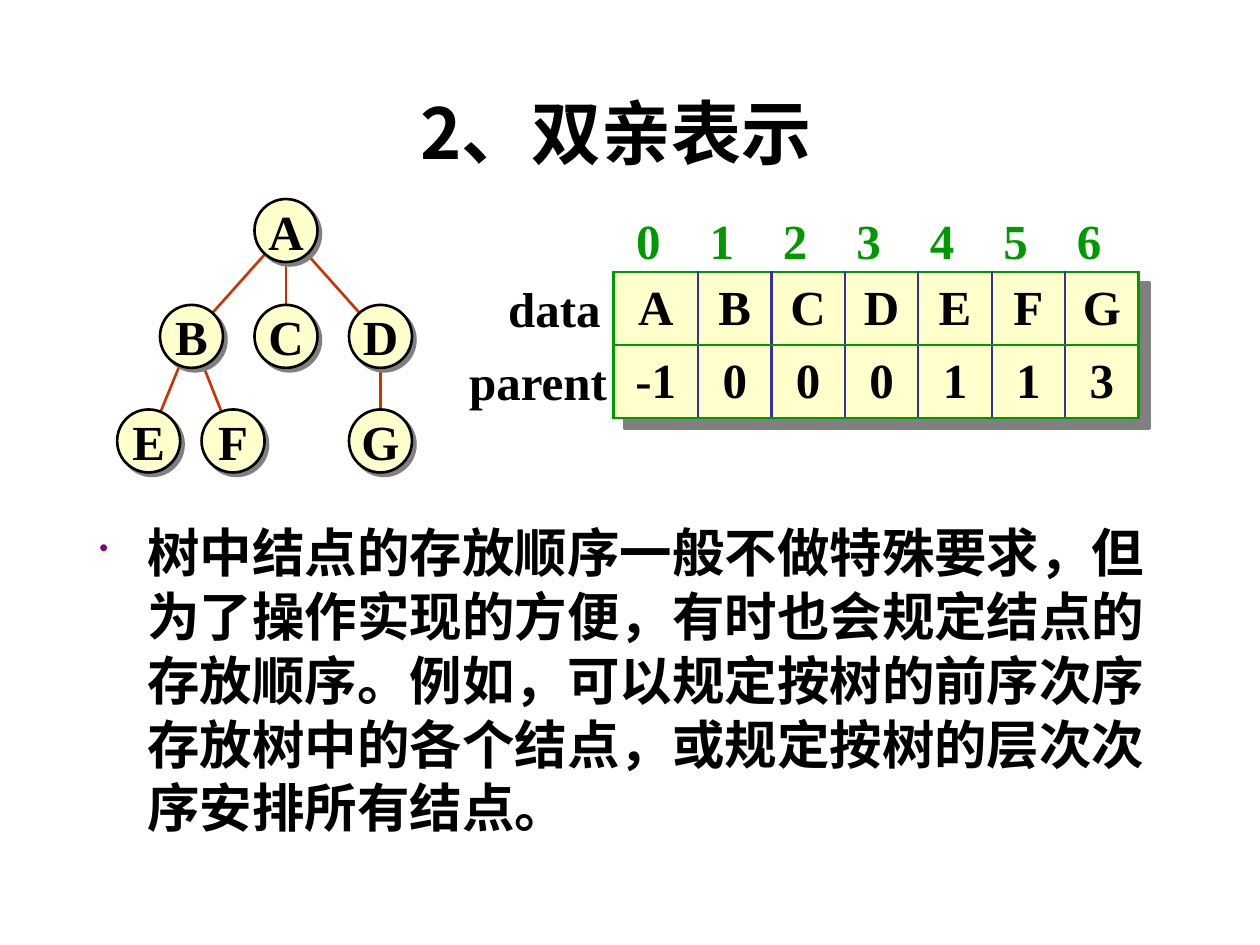
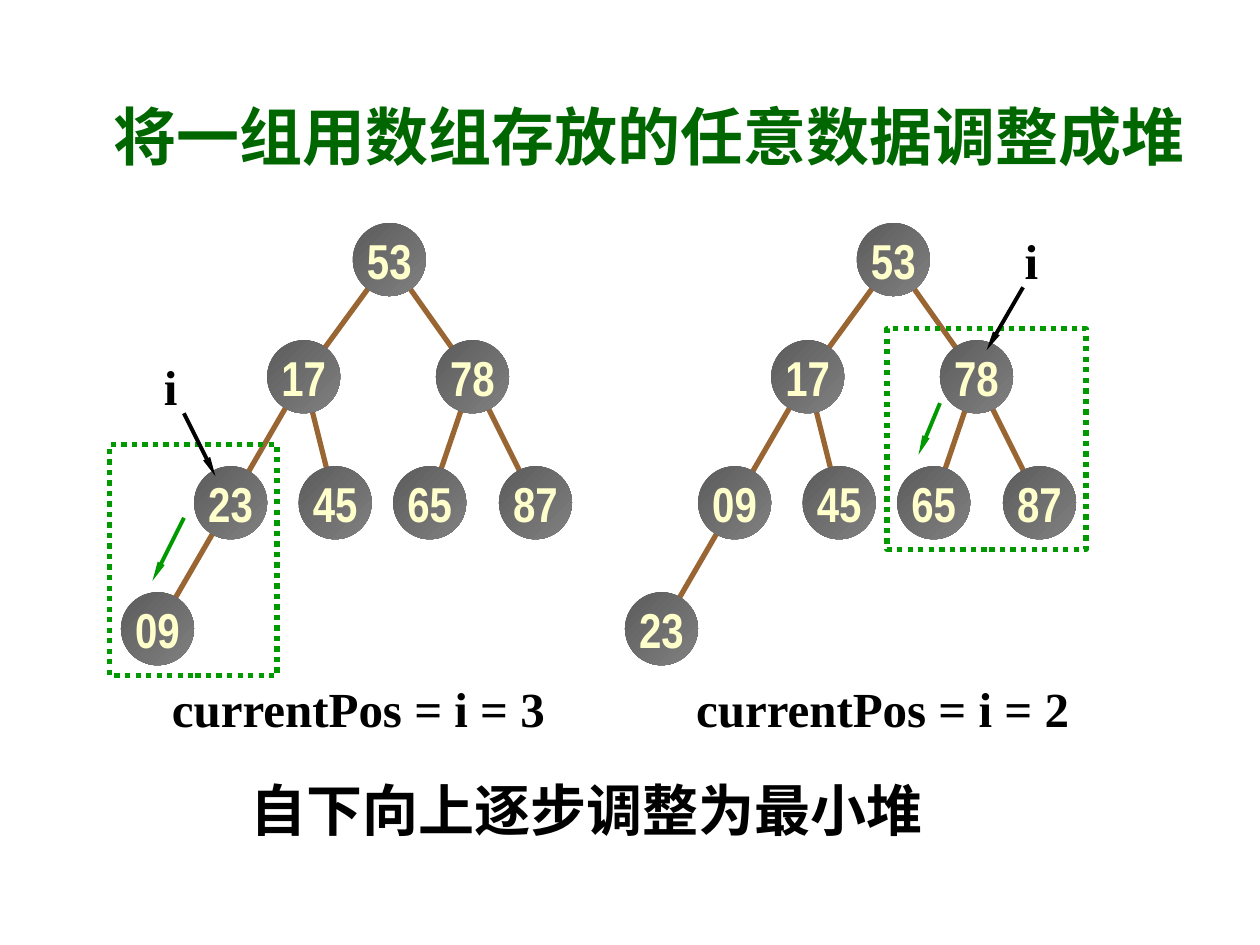
from math import hypot

from lxml import etree
from pptx import Presentation
from pptx.dml.color import RGBColor
from pptx.enum.dml import MSO_LINE
from pptx.enum.shapes import MSO_CONNECTOR, MSO_SHAPE
from pptx.enum.text import MSO_ANCHOR, PP_ALIGN
from pptx.oxml.ns import qn
from pptx.util import Inches, Pt

ELLIPSE, RECTANGLE = MSO_SHAPE.OVAL, MSO_SHAPE.RECTANGLE
STRAIGHT = MSO_CONNECTOR.STRAIGHT
LEFT, CENTER, MIDDLE = PP_ALIGN.LEFT, PP_ALIGN.CENTER, MSO_ANCHOR.MIDDLE
TOP, DOTTED = MSO_ANCHOR.TOP, MSO_LINE.ROUND_DOT
SERIF, NARROW, SANS = "Times New Roman", "Arial Narrow", "Arial"
CJK, CJK_TITLE = "Noto Sans CJK SC", "Noto Sans CJK JP"
BLACK, CREAM, GREEN, DARK_GREEN = "000000", "FFFFCC", "009900", "006600"
RED, BLUE, BROWN, PURPLE = "CC3300", "333399", "996633", "800080"
GRAY, DARK_GRAY = "808080", "5C5C5C"

PARENT_NODES = {
    "A": (1.34, 0.25), "B": (0.59, 1.09), "C": (1.34, 1.09), "D": (2.09, 1.09),
    "E": (0.25, 1.92), "F": (0.92, 1.92), "G": (2.09, 1.92),
}
PARENT_EDGES = ["AB", "AC", "AD", "BE", "BF", "DG"]
PARENT_ROWS = [list("ABCDEFG"), ["-1", "0", "0", "0", "1", "1", "3"]]
HEAP_SPOTS = [(2.13, 0.29), (1.45, 1.22), (2.79, 1.22), (0.87, 2.22),
              (1.7, 2.22), (2.45, 2.22), (3.29, 2.22), (0.29, 3.22)]


def color(value):
    """Turn a hex string into a colour."""
    return RGBColor.from_string(value)


def add_element(parent, tag, **attributes):
    """Append a drawing element with its attributes."""
    return etree.SubElement(parent, qn(tag), attributes)


def write_text(frame, text, size=28, font=SERIF, east=CJK, ink=BLACK,
               align=CENTER, anchor=MIDDLE, wrap=False, margin=0,
               bullet=False, spacing=None):
    """Fill a text frame with one formatted paragraph."""
    frame.word_wrap = wrap
    frame.vertical_anchor = anchor
    frame.margin_left = frame.margin_right = Inches(margin)
    frame.margin_top = frame.margin_bottom = Inches(margin / 2)
    para = frame.paragraphs[0]
    para.alignment = align
    if spacing:
        para.line_spacing = Pt(spacing)
    if bullet:
        settings = para._p.get_or_add_pPr()
        settings.set("marL", str(Inches(0.38)))
        settings.set("indent", str(-Inches(0.38)))
        add_element(add_element(settings, "a:buClr"), "a:srgbClr", val=PURPLE)
        add_element(settings, "a:buSzPct", val="50000")
        add_element(settings, "a:buChar", char="•")
    span = para.add_run()
    span.text = text
    span.font.size = Pt(size)
    span.font.name = font
    span.font.bold = True
    span.font.color.rgb = color(ink)
    add_element(span._r.get_or_add_rPr(), "a:ea", typeface=east)


def add_text(page, text, left, top, width, height, **style):
    """Place a text box."""
    box = page.shapes.add_textbox(
        Inches(left), Inches(top), Inches(width), Inches(height))
    write_text(box.text_frame, text, **style)


def add_title_page(deck, text, left, top, height, **style):
    """Add a title-only page and format its title."""
    page = deck.slides.add_slide(deck.slide_layouts[5])
    title = page.shapes.title
    title.left, title.top = Inches(left), Inches(top)
    title.width, title.height = Inches(9), Inches(height)
    write_text(title.text_frame, text, wrap=True, margin=0.1, **style)
    return page


def add_box(page, kind, left, top, width, height, fill=None, line=None,
            weight=1.5, dash=None, shadow=None):
    """Place a preset shape, with an optional hard shadow given in points."""
    shape = page.shapes.add_shape(
        kind, Inches(left), Inches(top), Inches(width), Inches(height))
    shape.shadow.inherit = False
    if fill:
        shape.fill.solid()
        shape.fill.fore_color.rgb = color(fill)
    else:
        shape.fill.background()
    if line:
        shape.line.color.rgb = color(line)
        shape.line.width = Pt(weight)
        shape.line.dash_style = dash
    else:
        shape.line.fill.background()
    if shadow:
        effects = shape._element.spPr.find(qn("a:effectLst"))
        cast = add_element(effects, "a:outerShdw", dist=str(Pt(shadow)),
                           dir="2700000", algn="ctr", rotWithShape="0")
        add_element(cast, "a:srgbClr", val=GRAY)
    return shape


def add_line(page, start, end, ink, weight, arrow=False):
    """Draw a straight line, with an optional slim arrowhead at its end."""
    line = page.shapes.add_connector(
        STRAIGHT, *(Inches(value) for value in (*start, *end)))
    line.line.color.rgb = color(ink)
    line.line.width = Pt(weight)
    if arrow:
        add_element(line.line._get_or_add_ln(), "a:tailEnd",
                    type="triangle", w="sm", len="lg")
    add_element(line._element.spPr, "a:effectLst")


def add_edge(page, parent, child, radius, ink, weight):
    """Join two round nodes, stopping just inside their outlines."""
    across, down = child[0] - parent[0], child[1] - parent[1]
    share = 0.8 * radius / hypot(across, down)
    start = (parent[0] + share * across, parent[1] + share * down)
    end = (child[0] - share * across, child[1] - share * down)
    add_line(page, start, end, ink, weight)


def add_parent_tree(page, left, top):
    """Draw the lettered tree inside the box at left, top."""
    nodes = {name: (left + x, top + y) for name, (x, y) in PARENT_NODES.items()}
    for parent, child in PARENT_EDGES:
        add_edge(page, nodes[parent], nodes[child], 0.25, RED, 1.5)
    for name, (x, y) in nodes.items():
        node = add_box(page, ELLIPSE, x - 0.25, y - 0.25, 0.5, 0.5,
                       fill=CREAM, line=BLACK, shadow=2.8)
        write_text(node.text_frame, name)


def set_borders(cell, sides):
    """Give a cell its border colours, listed left, right, top, bottom."""
    settings = cell._tc.get_or_add_tcPr()
    for side, ink in zip("LRTB", sides):
        border = add_element(settings, f"a:ln{side}", w=str(Pt(1.5)))
        add_element(add_element(border, "a:solidFill"), "a:srgbClr", val=ink)


def add_parent_table(page, left, top):
    """Draw the parent array with its indexes, row labels and shadow."""
    first, step, row_height = 0.67, 0.583, 0.58
    widths = [first] + [step] * 6
    width, height = sum(widths), 2 * row_height
    add_box(page, RECTANGLE, left, top, width, height,
            fill=CREAM, line=GREEN, shadow=8.5)
    frame = page.shapes.add_table(
        2, 7, Inches(left), Inches(top), Inches(width), Inches(height))
    table = frame.table
    table.first_row = table.horz_banding = False
    for column, size in enumerate(widths):
        table.columns[column].width = Inches(size)
        add_text(page, str(column), left + column * step, top - 0.54, 0.55, 0.57,
                 ink=GREEN)
    for row, values in enumerate(PARENT_ROWS):
        table.rows[row].height = Inches(row_height)
        for column, value in enumerate(values):
            cell = table.cell(row, column)
            set_borders(cell, (BLUE if column else GREEN,
                               BLUE if column < 6 else GREEN, GREEN, GREEN))
            cell.fill.solid()
            cell.fill.fore_color.rgb = color(CREAM)
            cell.margin_left = cell.margin_right = 0
            cell.margin_top = cell.margin_bottom = 0
            cell.vertical_anchor = MIDDLE
            write_text(cell.text_frame, value)
    add_text(page, "data", left - 0.94, top, 0.94, 0.57)
    add_text(page, "parent", left - 1.25, top + row_height, 1.3, 0.57)


def add_heap(page, left, top, values):
    """Draw an eight-node heap in level order inside the box at left, top."""
    spots = [(left + x, top + y) for x, y in HEAP_SPOTS]
    for child in range(1, len(spots)):
        add_edge(page, spots[(child - 1) // 2], spots[child], 0.29, BROWN, 3)
    for value, (x, y) in zip(values, spots):
        node = add_box(page, ELLIPSE, x - 0.29, y - 0.29, 0.58, 0.58)
        node.fill.gradient()
        node.fill.gradient_angle = 315
        for stop, ink in zip(node.fill.gradient_stops, (DARK_GRAY, GRAY)):
            stop.color.rgb = color(ink)
        write_text(node.text_frame, value, font=NARROW, ink=CREAM)


def add_focus(page, left, top, width, height, label, pointer, sift):
    """Frame a subtree, point i at its root and show the sift direction."""
    def place(spot):
        return left + spot[0], top + spot[1]

    add_box(page, RECTANGLE, left, top, width, height,
            line=GREEN, weight=3, dash=DOTTED)
    add_text(page, "i", *place(label), 0.31, 0.57)
    for (start, end), ink in ((pointer, BLACK), (sift, GREEN)):
        add_line(page, place(start), place(end), ink, 2.25, arrow=True)


def build_parent_page(deck):
    """Build the page on the parent representation."""
    page = add_title_page(deck, "2、双亲表示", 0.39, 0.54, 1.01,
                          size=40, font=CJK_TITLE, east=CJK_TITLE)
    add_parent_tree(page, 0.93, 1.58)
    add_parent_table(page, 4.87, 2.16)
    add_text(page, "树中结点的存放顺序一般不做特殊要求，但为了操作实现的方便，"
             "有时也会规定结点的存放顺序。例如，可以规定按树的前序次序存放树中的"
             "各个结点，或规定按树的层次次序安排所有结点。",
             0.69, 4.07, 8.68, 2.71, size=30, align=LEFT, anchor=TOP,
             wrap=True, margin=0.1, bullet=True, spacing=36.5)


def build_heap_page(deck):
    """Build the page on turning an array into a heap."""
    page = add_title_page(deck, "将一组用数组存放的任意数据调整成堆", 0.65, 0.52, 1.1,
                          size=36, font=SANS, ink=DARK_GREEN)
    add_heap(page, 0.96, 1.77, ["53", "17", "78", "23", "45", "65", "87", "09"])
    add_heap(page, 4.96, 1.77, ["53", "17", "78", "09", "45", "65", "87", "23"])
    add_focus(page, 0.87, 3.53, 1.33, 1.83, label=(0.33, -0.75),
              pointer=((0.59, -0.25), (0.84, 0.25)),
              sift=((0.59, 0.58), (0.34, 1.08)))
    add_focus(page, 7.04, 2.61, 1.58, 1.75, label=(0.99, -0.83),
              pointer=((1.08, -0.33), (0.79, 0.17)),
              sift=((0.42, 0.59), (0.25, 1)))
    for left, position in ((1.26, 3), (5.42, 2)):
        add_text(page, f"currentPos = i = {position}", left, 5.33, 3.17, 0.57)
    add_text(page, "自下向上逐步调整为最小堆", 1.89, 6.11, 6.79, 0.63,
             size=32, align=LEFT, wrap=True, margin=0.1)


def main():
    """Build and save the deck."""
    deck = Presentation()
    deck.slide_width, deck.slide_height = Inches(10), Inches(7.5)
    build_parent_page(deck)
    build_heap_page(deck)
    deck.save("out.pptx")


if __name__ == "__main__":
    main()
